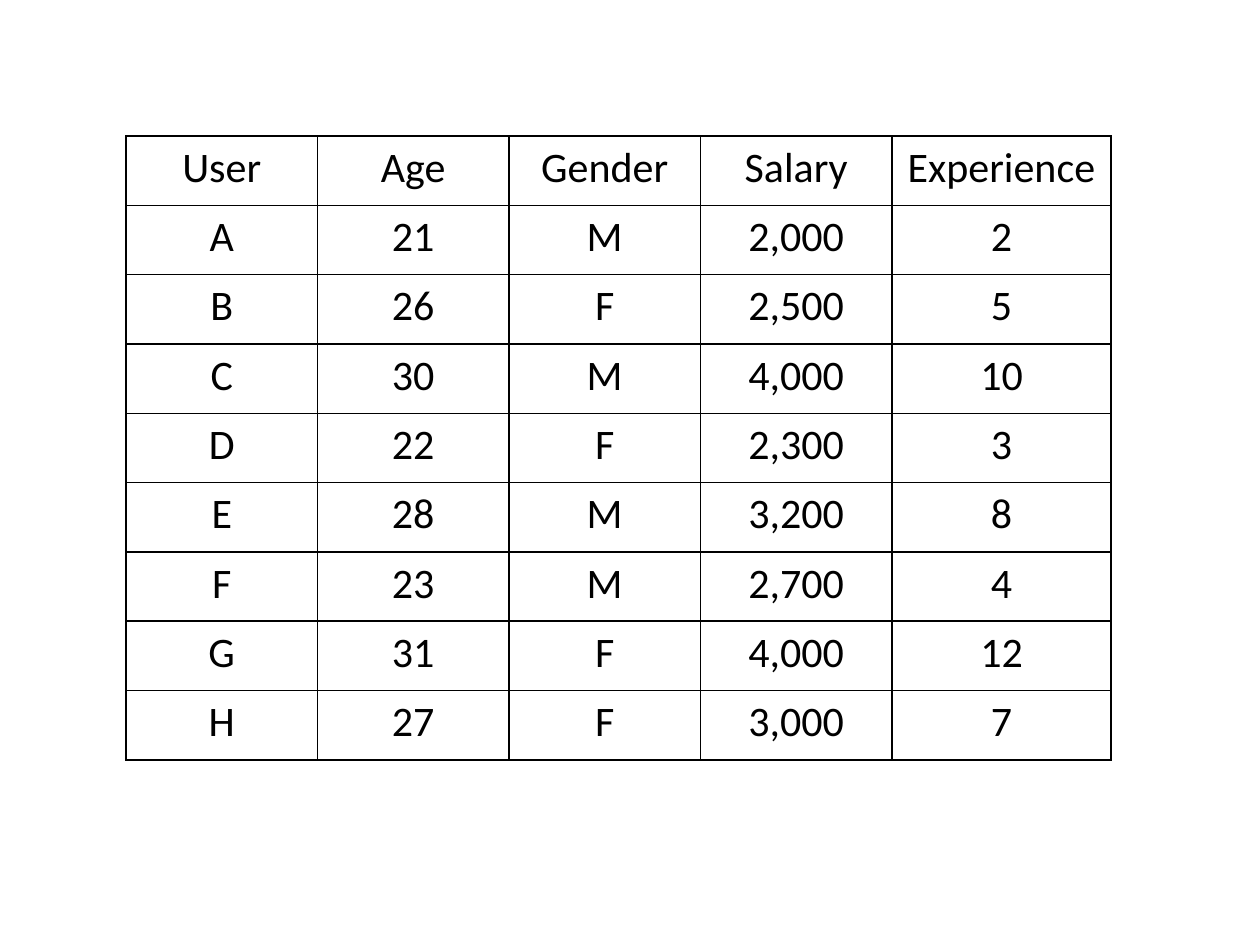
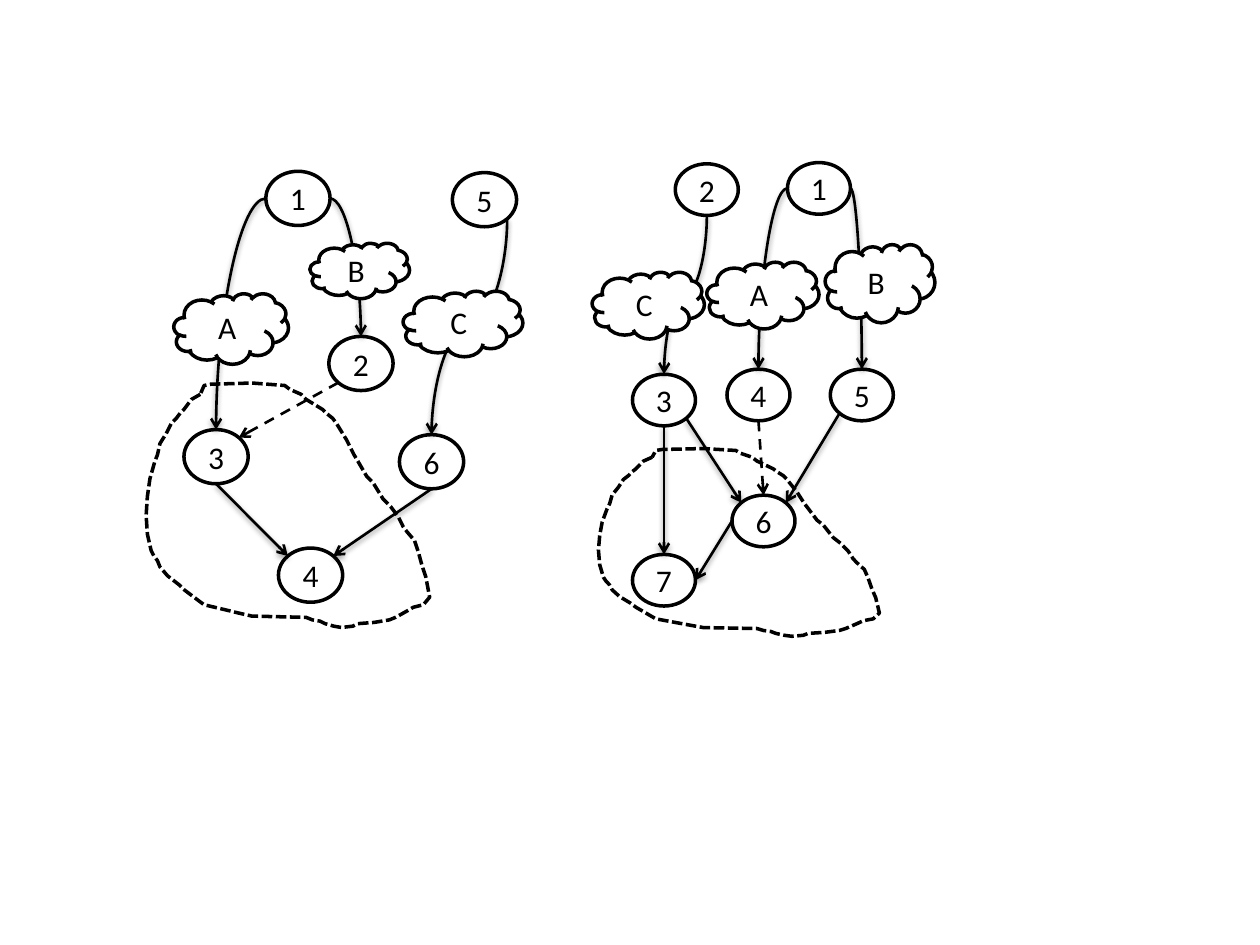
from lxml import etree
from pptx import Presentation
from pptx import util as u
from pptx.dml.color import RGBColor
from pptx.enum import dml, shapes, text
from pptx.oxml import parse_xml
from pptx.oxml.ns import nsdecls, qn

FONT = "Calibri"
BLACK, WHITE = "000000", "FFFFFF"
DIAGONAL = 0.7071

USERS = [
    ("User", "Age", "Gender", "Salary", "Experience"),
    ("A", "21", "M", "2,000", "2"),
    ("B", "26", "F", "2,500", "5"),
    ("C", "30", "M", "4,000", "10"),
    ("D", "22", "F", "2,300", "3"),
    ("E", "28", "M", "3,200", "8"),
    ("F", "23", "M", "2,700", "4"),
    ("G", "31", "F", "4,000", "12"),
    ("H", "27", "F", "3,000", "7"),
]

# Direction from a node's centre to each of its connection sites
SITES = {
    "top": (0, -1), "bottom": (0, 1), "left": (-1, 0), "right": (1, 0),
    "top left": (-DIAGONAL, -DIAGONAL), "top right": (DIAGONAL, -DIAGONAL),
    "bottom left": (-DIAGONAL, DIAGONAL), "bottom right": (DIAGONAL, DIAGONAL),
}

# Outline of the dashed region, on a grid of 225 by 194
REGION_GRID = (225, 194)
REGION = [
    (43, 9), (36, 13), (30, 21), (27, 24), (24, 28), (20, 32), (16, 40),
    (11, 48), (9, 57), (7, 62), (3, 76), (1, 90), (0, 105), (1, 120),
    (4, 133), (6, 137), (9, 141), (11, 146), (17, 153), (26, 160), (30, 164),
    (42, 173), (46, 176), (67, 181), (71, 182), (84, 185), (127, 186),
    (132, 188), (138, 189), (142, 191), (149, 193), (155, 194), (164, 193),
    (168, 191), (181, 190), (193, 188), (198, 186), (207, 181), (212, 178),
    (220, 176), (225, 170), (222, 154), (219, 145), (216, 134), (213, 125),
    (207, 118), (204, 114), (200, 106), (194, 98), (188, 92), (180, 79),
    (175, 74), (168, 62), (165, 57), (159, 45), (151, 32), (148, 28),
    (143, 24), (140, 21), (127, 13), (123, 9), (114, 5), (110, 2), (84, 0),
    (51, 1), (46, 2),
]

# Each graph: positions are relative to its origin.
# Edges: from node, site, to node, site, kind
LEFT_GRAPH = dict(
    origin=(1.16, 1.36), node_size=(0.51, 0.43),
    nodes={"1": (0.95, 0), "2": (1.45, 1.31), "3": (0.3, 2.05),
           "4": (1.05, 2.99), "5": (2.43, 0.01), "6": (2.01, 2.09)},
    edges=[("1", "right", "2", "top", "bend"),
           ("1", "left", "3", "top", "bend"),
           ("5", "bottom right", "6", "top", "wave"),
           ("2", "bottom left", "3", "top right", "dashed"),
           ("3", "bottom", "4", "top left", "straight"),
           ("6", "bottom", "4", "top right", "straight")],
    clouds={"A": (0.22, 0.97, 0.91, 0.56), "B": (1.3, 0.57, 0.79, 0.44),
            "C": (2.04, 0.95, 0.95, 0.52)},
    region=(0, 1.68, 2.25, 1.94),
)
RIGHT_GRAPH = dict(
    origin=(4.7, 1.29), node_size=(0.5, 0.41),
    nodes={"1": (1.55, 0), "2": (0.66, 0.01), "3": (0.32, 1.68),
           "4": (1.07, 1.64), "5": (1.89, 1.64), "6": (1.11, 2.64),
           "7": (0.32, 3.11)},
    edges=[("1", "left", "4", "top", "bend"),
           ("1", "right", "5", "top", "bend"),
           ("2", "bottom", "3", "top", "wave"),
           ("4", "bottom", "6", "top", "dashed"),
           ("5", "bottom left", "6", "top right", "straight"),
           ("3", "bottom right", "6", "top left", "straight"),
           ("3", "bottom", "7", "top", "straight"),
           ("6", "left", "7", "right", "straight")],
    clouds={"A": (0.91, 0.79, 0.89, 0.53), "B": (1.85, 0.65, 0.87, 0.62),
            "C": (0, 0.87, 0.89, 0.53)},
    region=(0.05, 2.27, 2.23, 1.49),
)


def rgb(value):
    return RGBColor.from_string(value)


def write(frame, words, size=18, color=BLACK, align=text.PP_ALIGN.CENTER):
    paragraph = frame.paragraphs[0]
    paragraph.alignment = align
    run = paragraph.add_run()
    run.text = words
    run.font.size = u.Pt(size)
    run.font.name = FONT
    run.font.color.rgb = rgb(color)


def set_line(line, width, dash=None):
    line.color.rgb = rgb(BLACK)
    line.width = u.Pt(width)
    if dash:
        line.dash_style = dash


def add_borders(cell):
    properties = cell._tc.get_or_add_tcPr()
    for side in ("lnL", "lnR", "lnT", "lnB"):
        properties.append(parse_xml(
            f'<a:{side} {nsdecls("a")} w="12700"><a:solidFill>'
            f'<a:srgbClr val="{BLACK}"/></a:solidFill></a:{side}>'))


def add_user_table(slide, left, top, widths, row_height):
    frame = slide.shapes.add_table(
        len(USERS), len(widths), u.Inches(left), u.Inches(top),
        u.Inches(sum(widths)), u.Inches(row_height * len(USERS)))
    users = frame.table
    users.first_row = users.horz_banding = False
    for column, width in zip(users.columns, widths):
        column.width = u.Inches(width)
    for row, record in zip(users.rows, USERS):
        row.height = u.Inches(row_height)
        for cell, value in zip(row.cells, record):
            add_borders(cell)
            cell.fill.background()
            write(cell.text_frame, value, size=24)


def add_bubble(slide, preset, label, left, top, width, height):
    bubble = slide.shapes.add_shape(
        preset, *(u.Inches(v) for v in (left, top, width, height)))
    bubble.shadow.inherit = False
    bubble.fill.solid()
    bubble.fill.fore_color.rgb = rgb(WHITE)
    set_line(bubble.line, 2)
    frame = bubble.text_frame
    frame.margin_left = frame.margin_right = 0
    frame.margin_top = frame.margin_bottom = 0
    frame.vertical_anchor = text.MSO_ANCHOR.MIDDLE
    write(frame, label)


def add_edge(slide, start, end, kind):
    curved = kind in ("bend", "wave")
    style = shapes.MSO_CONNECTOR.CURVE if curved else shapes.MSO_CONNECTOR.STRAIGHT
    (x1, y1), (x2, y2) = start, end
    if kind == "wave":
        # Leaves downwards: lay the curve flat, then turn it a quarter
        cx, cy = (x1 + x2) / 2, (y1 + y2) / 2
        run, drop = abs(x2 - x1), abs(y2 - y1)
        x1, x2 = cx - drop / 2, cx + drop / 2
        y1, y2 = cy - run / 2, cy + run / 2
    edge = slide.shapes.add_connector(
        style, *(u.Inches(v) for v in (x1, y1, x2, y2)))
    properties = edge._element.spPr
    if kind == "wave":
        properties.find(qn("a:xfrm")).set("rot", "5400000")
    elif kind == "bend":
        properties.find(qn("a:prstGeom")).set("prst", "curvedConnector2")
    dashed = kind == "dashed"
    set_line(edge.line, 1.5, dml.MSO_LINE.DASH if dashed else None)
    etree.SubElement(properties.find(qn("a:ln")), qn("a:tailEnd"), type="arrow")
    effects = etree.SubElement(properties, qn("a:effectLst"))
    if not dashed:
        effects.append(parse_xml(
            f'<a:outerShdw {nsdecls("a")} blurRad="39370" dist="20320" '
            f'dir="5400000" rotWithShape="0"><a:srgbClr val="{BLACK}">'
            '<a:alpha val="38000"/></a:srgbClr></a:outerShdw>'))


def add_region(slide, left, top, width, height):
    scale = (u.Inches(width) / REGION_GRID[0], u.Inches(height) / REGION_GRID[1])
    builder = slide.shapes.build_freeform(*REGION[0], scale=scale)
    builder.add_line_segments(REGION[1:], close=True)
    region = builder.convert_to_shape(u.Inches(left), u.Inches(top))
    region.shadow.inherit = False
    region.fill.background()
    set_line(region.line, 2, dml.MSO_LINE.SQUARE_DOT)
    # Short system dashes
    region.line._ln.find(qn("a:prstDash")).set("val", "sysDash")


def add_graph(slide, origin, node_size, nodes, edges, clouds, region):
    left, top = origin
    width, height = node_size

    def site(node, name):
        x, y = nodes[node]
        dx, dy = SITES[name]
        return (left + x + width / 2 * (1 + dx), top + y + height / 2 * (1 + dy))

    for label, (x, y) in nodes.items():
        add_bubble(slide, shapes.MSO_SHAPE.OVAL, label,
                   left + x, top + y, width, height)
    for source, leave, target, enter, kind in edges:
        add_edge(slide, site(source, leave), site(target, enter), kind)
    # Clouds cover the middle of the curved edges
    for label, (x, y, w, h) in clouds.items():
        add_bubble(slide, shapes.MSO_SHAPE.CLOUD, label, left + x, top + y, w, h)
    x, y, w, h = region
    add_region(slide, left + x, top + y, w, h)


def main():
    deck = Presentation()
    deck.slide_width, deck.slide_height = u.Inches(10), u.Inches(7.5)
    blank = deck.slide_layouts[6]

    # Slide 1: user records
    add_user_table(deck.slides.add_slide(blank), 1, 1.08,
                   widths=[1.52] * 4 + [1.74], row_height=0.55)

    # Slide 2: two graphs
    graphs = deck.slides.add_slide(blank)
    for graph in (LEFT_GRAPH, RIGHT_GRAPH):
        add_graph(graphs, **graph)

    deck.save("out.pptx")


if __name__ == "__main__":
    main()
